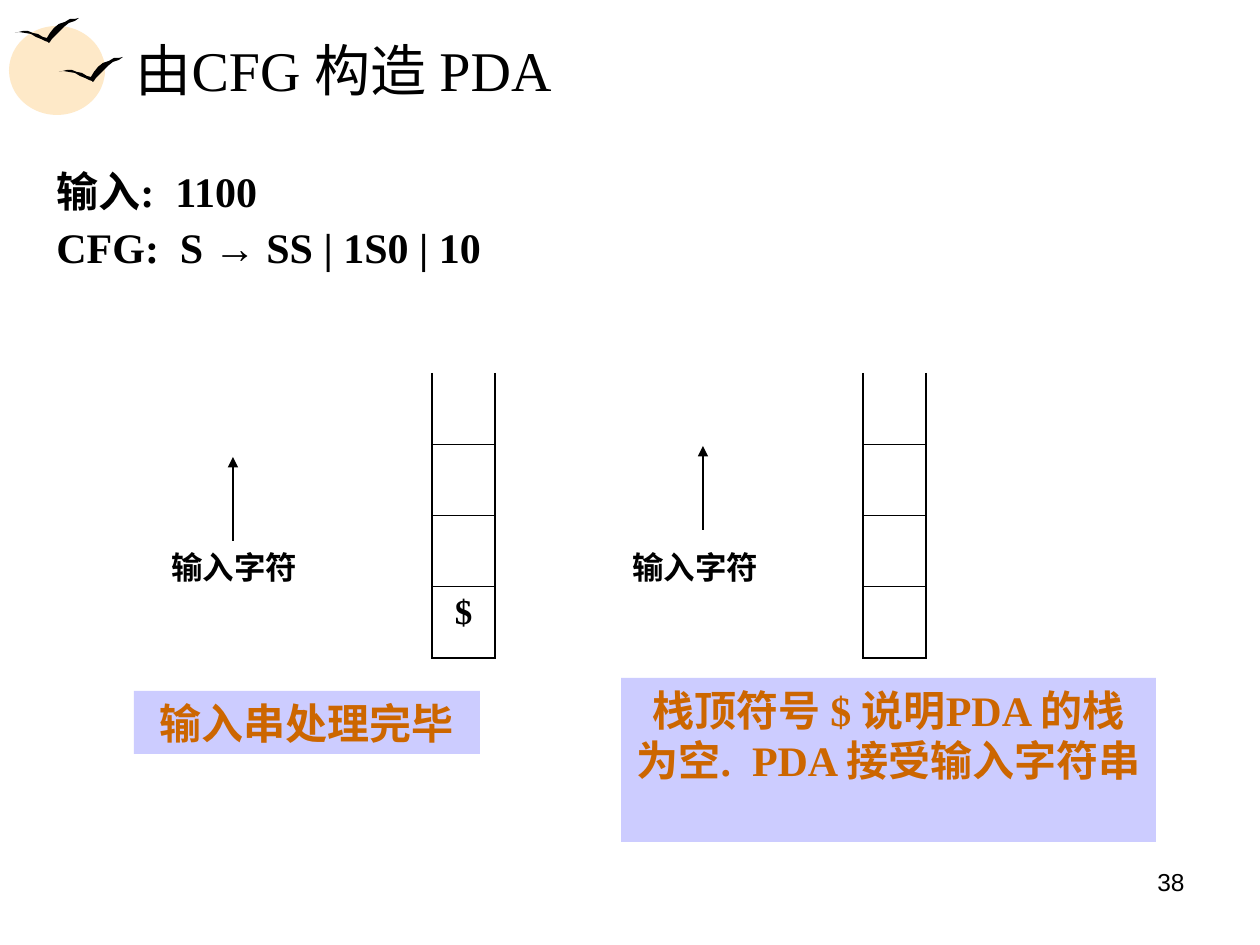
from lxml import etree
from pptx import Presentation
from pptx.dml.color import RGBColor
from pptx.enum.shapes import MSO_CONNECTOR, MSO_SHAPE
from pptx.enum.text import MSO_ANCHOR, PP_ALIGN
from pptx.oxml.ns import qn
from pptx.util import Pt

LEFT, CENTER, RIGHT = PP_ALIGN.LEFT, PP_ALIGN.CENTER, PP_ALIGN.RIGHT
TOP, MIDDLE = MSO_ANCHOR.TOP, MSO_ANCHOR.MIDDLE
OVAL, RECT = MSO_SHAPE.OVAL, MSO_SHAPE.RECTANGLE
STRAIGHT = MSO_CONNECTOR.STRAIGHT
PX = 914400 / 126


class Theme:
    ink, sun, note, accent = "000000", "FEE9C8", "CCCCFF", "CC6600"
    serif, sans = "Times New Roman", "Arial"
    title, body, stack, label, number = 32, 24, 20, 18, 14
    side, rule, arrow = 1.08, 0.45, 0.75


# Content: boxes are left, top, width, height in px
TITLE = ("由CFG 构造 PDA", (123, 26, 1075, 87))
BODY = [
    [("输入:  1100", Theme.serif)],
    [("CFG:  S ", Theme.serif), ("→", Theme.sans), (" SS | 1S0 | 10", Theme.serif)],
]
BODY_BOX = (44, 165, 1181, 129)
NUMBER = ("38", (903, 861, 294, 66))
STACKS = [(432, ["", "", "", "$"]), (863, ["", "", "", ""])]
STACK_TOP, CELL_W, CELL_H = 373, 63, 71.25
NOTES = [
    ("输入串处理完毕", (134, 691, 346, 63)),
    ("栈顶符号 $ 说明PDA 的栈为空.  PDA 接受输入字符串", (621, 678, 535, 164)),
]
LABELS = [("输入字符", (159, 542, 189, 50)), ("输入字符", (620, 542, 169, 50))]
ARROWS = [(233, 541, 457), (703, 530, 446)]  # x, from y, to y
SUNS = [(9, 26, 96, 89), (25, 35, 80, 69)]
BIRDS = [(59, 57), (15, 18)]
BIRD = [
    (0, 15), (4, 14), (8, 13), (13, 13), (18, 15), (23, 16), (28, 19), (32, 20),
    (35, 15), (39, 10), (44, 6), (50, 4), (55, 1), (60, 1), (64, 0), (60, 3),
    (54, 5), (49, 9), (45, 13), (40, 18), (37, 21), (35, 24), (34, 25), (33, 24),
    (30, 23), (26, 21), (21, 19), (16, 16), (10, 15), (4, 14),
]


def emu(*sizes):
    return [round(size * PX) for size in sizes]


def paint(shape, color):
    shape.shadow.inherit = False
    shape.fill.solid()
    shape.fill.fore_color.rgb = RGBColor.from_string(color)
    shape.line.fill.background()


def write(para, runs, size, color=Theme.ink, bold=True, align=LEFT):
    para.alignment = align
    for text, face in runs:
        run = para.add_run()
        run.text = text
        font = run.font
        font.name, font.size, font.bold = face, Pt(size), bold
        font.color.rgb = RGBColor.from_string(color)


def add_text(slide, box, lines, size, **look):
    frame = slide.shapes.add_textbox(*emu(*box)).text_frame
    frame.word_wrap = True
    for i, runs in enumerate(lines):
        para = frame.add_paragraph() if i else frame.paragraphs[0]
        write(para, runs, size, **look)
    return frame


def add_note(slide, text, box):
    shape = slide.shapes.add_shape(RECT, *emu(*box))
    paint(shape, Theme.note)
    frame = shape.text_frame
    frame.word_wrap, frame.vertical_anchor = True, TOP
    write(frame.paragraphs[0], [(text, Theme.serif)], Theme.body,
          color=Theme.accent, align=CENTER)


def add_bird(slide, left, top):
    points = [(left + x, top + y) for x, y in BIRD]
    form = slide.shapes.build_freeform(*points[0], scale=PX)
    form.add_line_segments(points[1:], close=True)
    paint(form.convert_to_shape(), Theme.ink)


def set_edge(cell, side, width):
    edge = etree.SubElement(cell._tc.get_or_add_tcPr(), qn("a:ln" + side))
    if not width:
        etree.SubElement(edge, qn("a:noFill"))
        return
    edge.set("w", str(Pt(width)))
    fill = etree.SubElement(edge, qn("a:solidFill"))
    etree.SubElement(fill, qn("a:srgbClr"), val=Theme.ink)


def add_stack(slide, left, items):
    count = len(items)
    box = emu(left, STACK_TOP, CELL_W, CELL_H * count)
    table = slide.shapes.add_table(count, 1, *box).table
    table.first_row = table.horz_banding = False
    for i, item in enumerate(items):
        cell = table.cell(i, 0)
        base = Theme.side if i == count - 1 else Theme.rule
        edges = {"L": Theme.side, "R": Theme.side, "T": Theme.rule if i else 0, "B": base}
        for side, width in edges.items():
            set_edge(cell, side, width)
        cell.fill.background()
        if item:
            write(cell.text_frame.paragraphs[0], [(item, Theme.serif)],
                  Theme.stack, align=CENTER)


def add_arrow(slide, x, start, end):
    line = slide.shapes.add_connector(STRAIGHT, *emu(x, start, x, end))
    line.line.width = Pt(Theme.arrow)
    line.line.color.rgb = RGBColor.from_string(Theme.ink)
    etree.SubElement(line.line._get_or_add_ln(), qn("a:tailEnd"), type="triangle")
    etree.SubElement(line._element.spPr, qn("a:effectLst"))


def set_title(slide, text, box):
    title = slide.shapes.title
    title.left, title.top, title.width, title.height = emu(*box)
    title.text_frame.vertical_anchor = MIDDLE
    write(title.text_frame.paragraphs[0], [(text, Theme.serif)], Theme.title, bold=False)


def main():
    deck = Presentation()
    deck.slide_width, deck.slide_height = emu(1260, 945)
    slide = deck.slides.add_slide(deck.slide_layouts[5])
    for box in SUNS:
        paint(slide.shapes.add_shape(OVAL, *emu(*box)), Theme.sun)
    for spot in BIRDS:
        add_bird(slide, *spot)
    set_title(slide, *TITLE)
    body = add_text(slide, BODY_BOX, BODY, Theme.body)
    for i, para in enumerate(body.paragraphs):
        para.line_spacing = 0.9
        para.space_before = Pt(6 if i else 0)
    for stack in STACKS:
        add_stack(slide, *stack)
    for note in NOTES:
        add_note(slide, *note)
    for arrow in ARROWS:
        add_arrow(slide, *arrow)
    for text, box in LABELS:
        add_text(slide, box, [[(text, Theme.serif)]], Theme.label)
    text, box = NUMBER
    add_text(slide, box, [[(text, Theme.sans)]], Theme.number, bold=False, align=RIGHT)
    deck.save("out.pptx")


if __name__ == "__main__":
    main()
